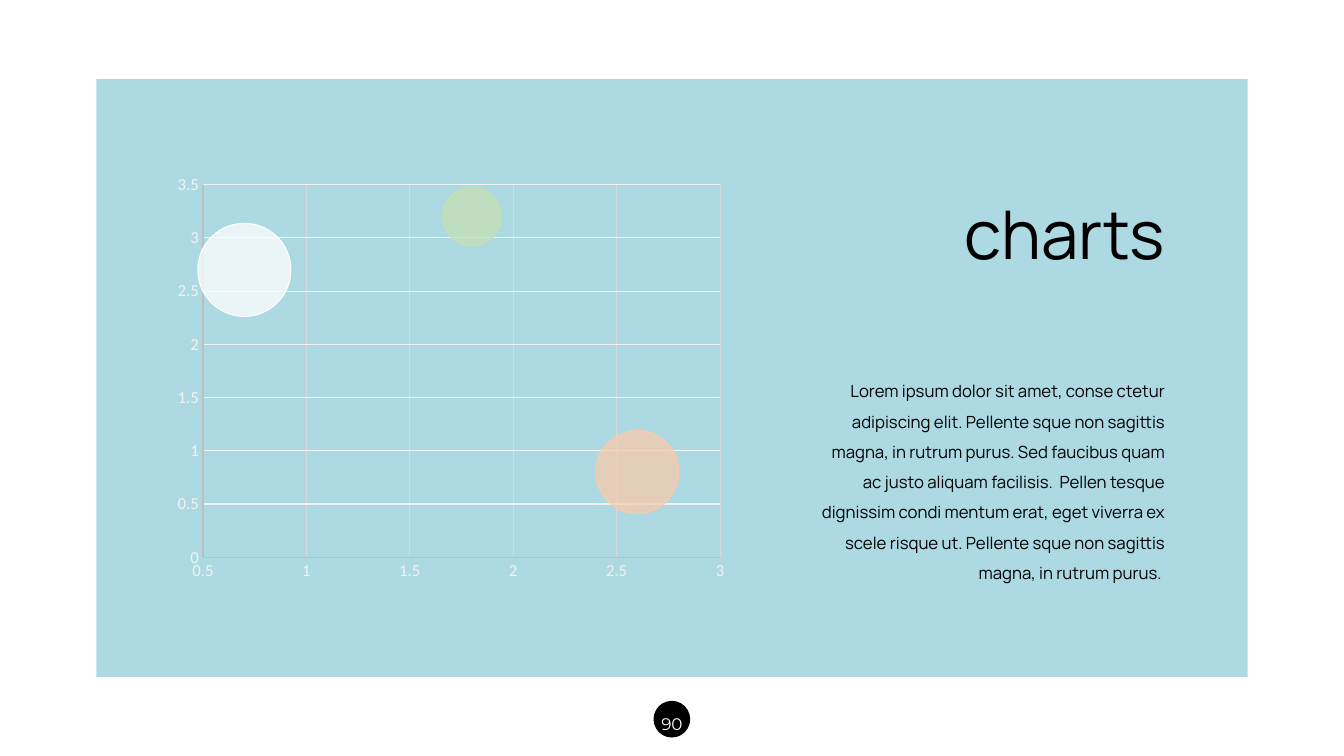
from lxml.etree import SubElement
from pptx import Presentation
from pptx.chart.data import BubbleChartData
from pptx.dml.color import RGBColor
from pptx.enum.chart import XL_CHART_TYPE, XL_TICK_MARK
from pptx.enum.shapes import MSO_SHAPE
from pptx.enum.text import PP_ALIGN
from pptx.oxml.ns import qn
from pptx.util import Pt

color = RGBColor.from_string


def add_text(page, frame, text, size, font, fill, align, spacing=1.0):
    box = page.shapes.add_textbox(*map(Pt, frame))
    box.text_frame.word_wrap = True
    para = box.text_frame.paragraphs[0]
    para.alignment = align
    para.line_spacing = spacing
    span = para.add_run()
    span.text = text
    span.font.size = Pt(size)
    span.font.name = font
    span.font.color.rgb = color(fill)


deck = Presentation()
deck.slide_width, deck.slide_height = Pt(960), Pt(540)
page = deck.slides.add_slide(deck.slide_layouts[6])

# Page number badge and panel
for kind, frame, fill in [
    (MSO_SHAPE.OVAL, (467.3, 501.1, 25.2, 25.2), "000000"),
    (MSO_SHAPE.RECTANGLE, (68.8, 56.6, 822.4, 427), "ACD9E2"),
]:
    shape = page.shapes.add_shape(kind, *map(Pt, frame))
    shape.shadow.inherit = False
    shape.fill.solid()
    shape.fill.fore_color.rgb = color(fill)
    if kind == MSO_SHAPE.OVAL:
        shape.line.color.rgb = color(fill)
        shape.line.width = Pt(1)
    else:
        shape.line.fill.background()

add_text(page, (462, 499, 36, 26.6), "90", 12, "Montserrat", "FFFFFF",
         PP_ALIGN.CENTER, 1.5)

# Bubble chart
bubbles = [
    (0.7, 2.7, 10, "FFFFFF"),
    (1.8, 3.2, 4, "C5E0B4"),
    (2.6, 0.8, 8, "F8CBAD"),
]
data = BubbleChartData()
data_series = data.add_series("Series 1")
for x, y, size, fill in bubbles:
    data_series.add_data_point(x, y, size)

chart = page.shapes.add_chart(XL_CHART_TYPE.BUBBLE, Pt(118.8), Pt(118.8),
                              Pt(406.8), Pt(302.4), data).chart
chart.has_legend = False
chart.has_title = False
chart.font.name = "Calibri"
chart.font.size = Pt(10)
chart.font.color.rgb = color("000000")

for axis, low, high, grid in [
    (chart.category_axis, 0.5, 3, "D9D9D9"),
    (chart.value_axis, 0, 3.5, "F2F2F2"),
]:
    axis.minimum_scale, axis.maximum_scale = low, high
    axis.major_unit = 0.5
    axis.major_tick_mark = axis.minor_tick_mark = XL_TICK_MARK.NONE
    axis.has_major_gridlines = True
    axis.tick_labels.font.name = "Calibri"
    axis.tick_labels.font.size = Pt(12)
    axis.tick_labels.font.color.rgb = color("F2F2F2")
    for line, stroke in [(axis.format.line, "BFBFBF"),
                         (axis.major_gridlines.format.line, grid)]:
        line.color.rgb = color(stroke)
        line.width = Pt(0.75)

series = chart.plots[0].series[0]
series.format.fill.solid()
series.format.fill.fore_color.rgb = color("4472C4")
for index, (x, y, size, fill) in enumerate(bubbles):
    look = series.points[index].format
    look.fill.solid()
    look.fill.fore_color.rgb = color(fill)
    look.line.color.rgb = color(fill)
    look.line.width = Pt(0.75)
for tint in series._element.xpath(".//c:spPr/a:solidFill/a:srgbClr"):
    SubElement(tint, qn("a:alpha"), val="75000")

# Heading and body
add_text(page, (602.6, 133.9, 236.9, 65.5), "charts", 48, "Manrope", "000000",
         PP_ALIGN.RIGHT)
add_text(page, (575.3, 261.4, 264.2, 159.8),
         "Lorem ipsum dolor sit amet, conse ctetur adipiscing elit. "
         "Pellente sque non sagittis magna, in rutrum purus. Sed faucibus "
         "quam ac justo aliquam facilisis.  Pellen tesque dignissim condi "
         "mentum erat, eget viverra ex scele risque ut. Pellente sque non "
         "sagittis magna, in rutrum purus. ",
         12, "Manrope", "000000", PP_ALIGN.RIGHT, 1.5)

deck.save("out.pptx")
